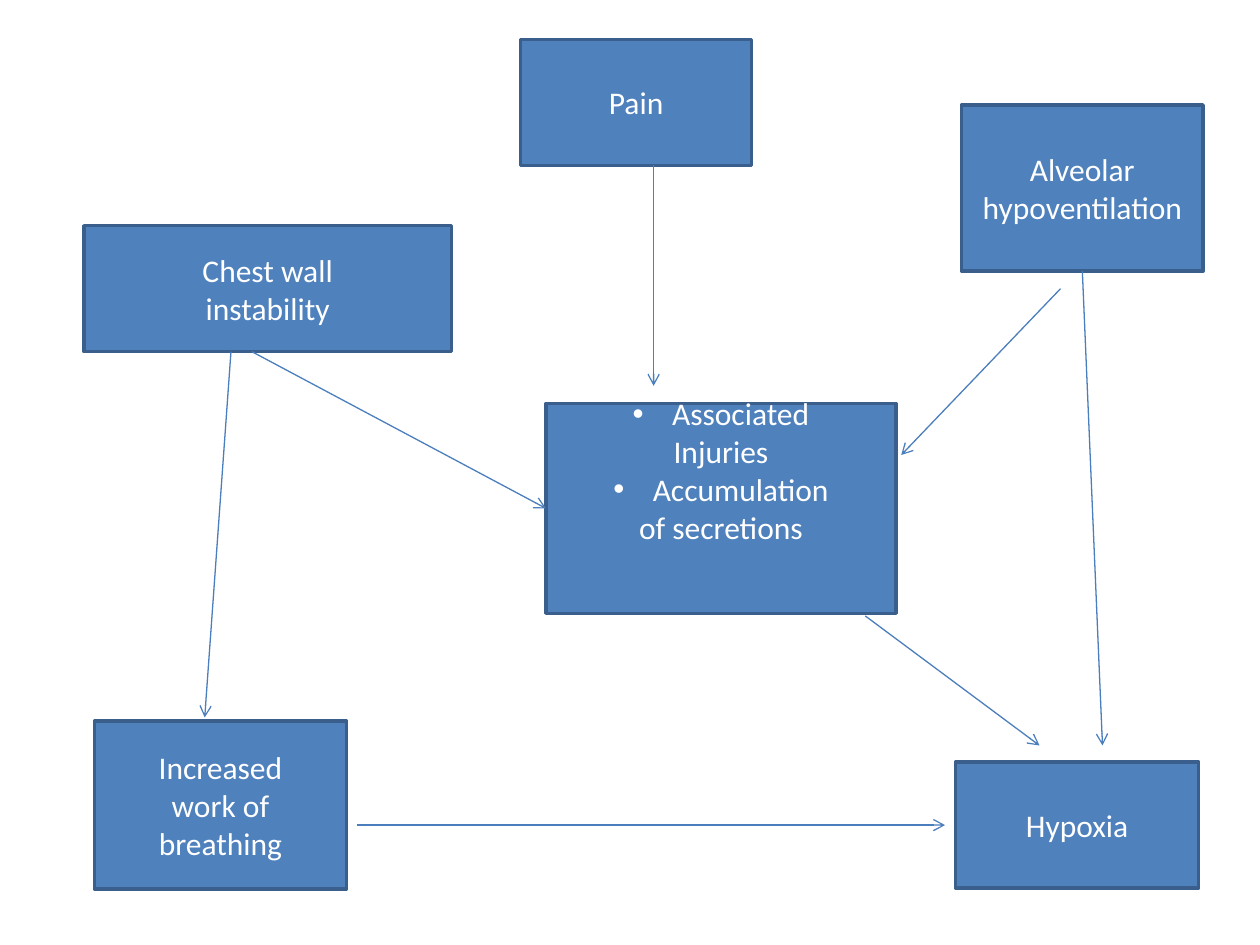
from dataclasses import dataclass

from lxml import etree
from pptx import Presentation
from pptx.dml.color import RGBColor
from pptx.enum import shapes, text
from pptx.oxml.ns import qn
from pptx.util import Pt


@dataclass(frozen=True)
class Theme:
    fill: RGBColor = RGBColor(0x4F, 0x81, 0xBD)
    border: RGBColor = RGBColor(0x3A, 0x5F, 0x8C)
    arrow: RGBColor = RGBColor(0x4B, 0x7E, 0xBC)
    ink: RGBColor = RGBColor(0xFF, 0xFF, 0xFF)
    font: str = "Calibri"
    size: int = 18


theme = Theme()
BOTTOM, LEFT = 2, 1

prs = Presentation()
prs.slide_width, prs.slide_height = Pt(720), Pt(540)
s = prs.slides.add_slide(prs.slide_layouts[6])

# Boxes: left, top, width, height in points, then one paragraph per line
boxes = {
    "pain": (297.5, 22.5, 132, 72, ["Pain"]),
    "chest": (48, 129, 210, 72, ["Chest wall", "instability"]),
    "alveolar": (549.5, 60, 138, 95, ["Alveolar", "hypoventilation"]),
    "injuries": (312, 230.5, 200, 120,
                 ["• Associated", "Injuries", "• Accumulation", "of secretions"]),
    "hypoxia": (546, 435.5, 139, 72, ["Hypoxia"]),
    "breathing": (54, 412, 144, 96, ["Increased", "work of", "breathing"]),
}

nodes = {}
for name, (left, top, width, height, lines) in boxes.items():
    sp = s.shapes.add_shape(shapes.MSO_SHAPE.RECTANGLE,
                            Pt(left), Pt(top), Pt(width), Pt(height))
    sp.shadow.inherit = False
    sp.fill.solid()
    sp.fill.fore_color.rgb = theme.fill
    sp.line.color.rgb = theme.border
    sp.line.width = Pt(2)
    tf = sp.text_frame
    tf.word_wrap = True
    tf.vertical_anchor = text.MSO_ANCHOR.MIDDLE
    for i, line in enumerate(lines):
        p = tf.paragraphs[0] if i == 0 else tf.add_paragraph()
        p.alignment = text.PP_ALIGN.CENTER
        if line.startswith("• "):
            pPr = p._p.get_or_add_pPr()
            pPr.set("marL", str(Pt(22.5)))
            pPr.set("indent", str(-Pt(22.5)))
            etree.SubElement(pPr, qn("a:buFont"), typeface="Arial")
            etree.SubElement(pPr, qn("a:buChar"), char="•")
        r = p.add_run()
        r.text = line.removeprefix("• ")
        r.font.name = theme.font
        r.font.size = Pt(theme.size)
        r.font.color.rgb = theme.ink
    nodes[name] = sp

# The list sits two text lines above the middle of its box
nodes["injuries"].text_frame.margin_bottom = Pt(47.5)

# Arrows: from, to in points, then the box sides they are joined to
arrows = [
    ((373.5, 94.5), (373.5, 220.5), None, None),
    ((144, 201), (312, 290.5), None, ("injuries", LEFT)),
    ((132, 201), (117, 410), None, None),
    ((606, 165), (515, 260), None, None),
    ((204, 471.5), (540, 471.5), None, None),
    ((494.5, 352), (594, 426), None, None),
    ((618.5, 155), (630, 426), ("alveolar", BOTTOM), None),
]

for start, end, source, target in arrows:
    c = s.shapes.add_connector(shapes.MSO_CONNECTOR.STRAIGHT,
                               *map(Pt, start), *map(Pt, end))
    if source:
        c.begin_connect(nodes[source[0]], source[1])
    if target:
        c.end_connect(nodes[target[0]], target[1])
    c.line.color.rgb = theme.arrow
    c.line.width = Pt(0.75)
    etree.SubElement(c.line._get_or_add_ln(), qn("a:tailEnd"), type="arrow")
    etree.SubElement(c._element.spPr, qn("a:effectLst"))

prs.save("out.pptx")
